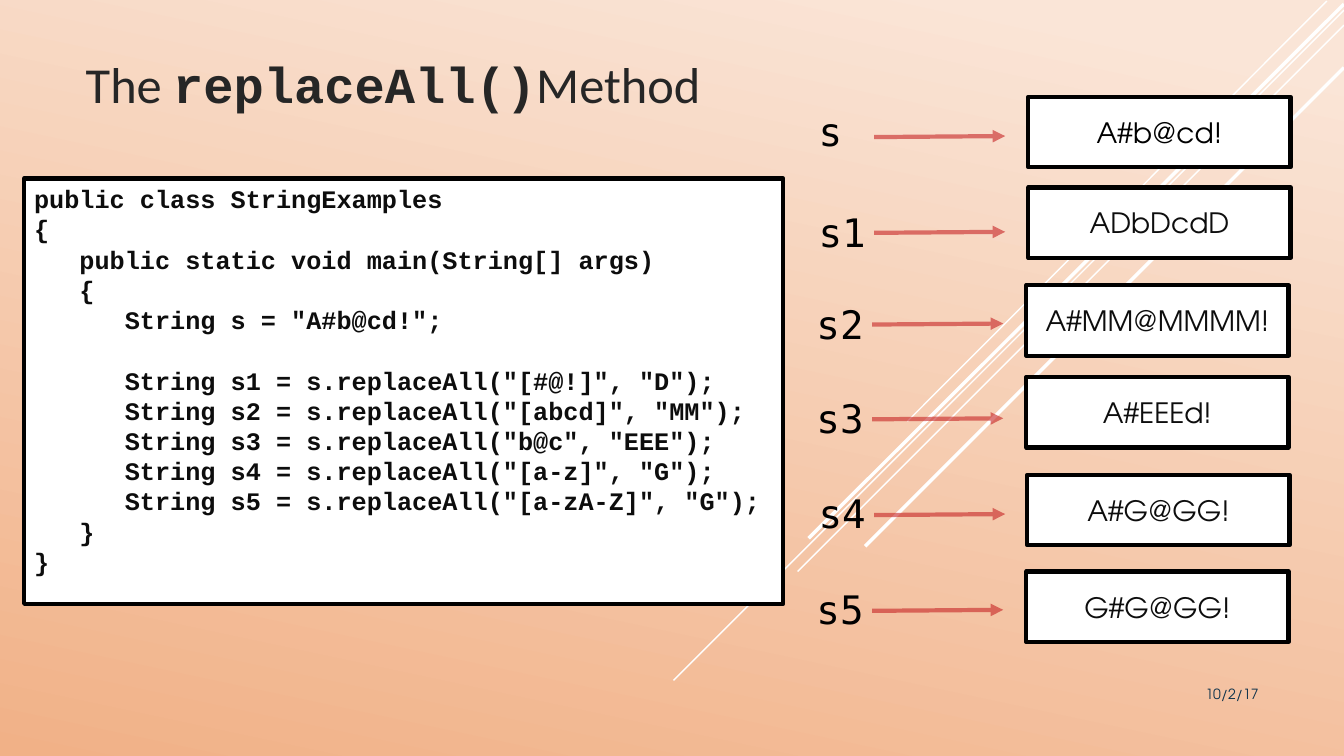
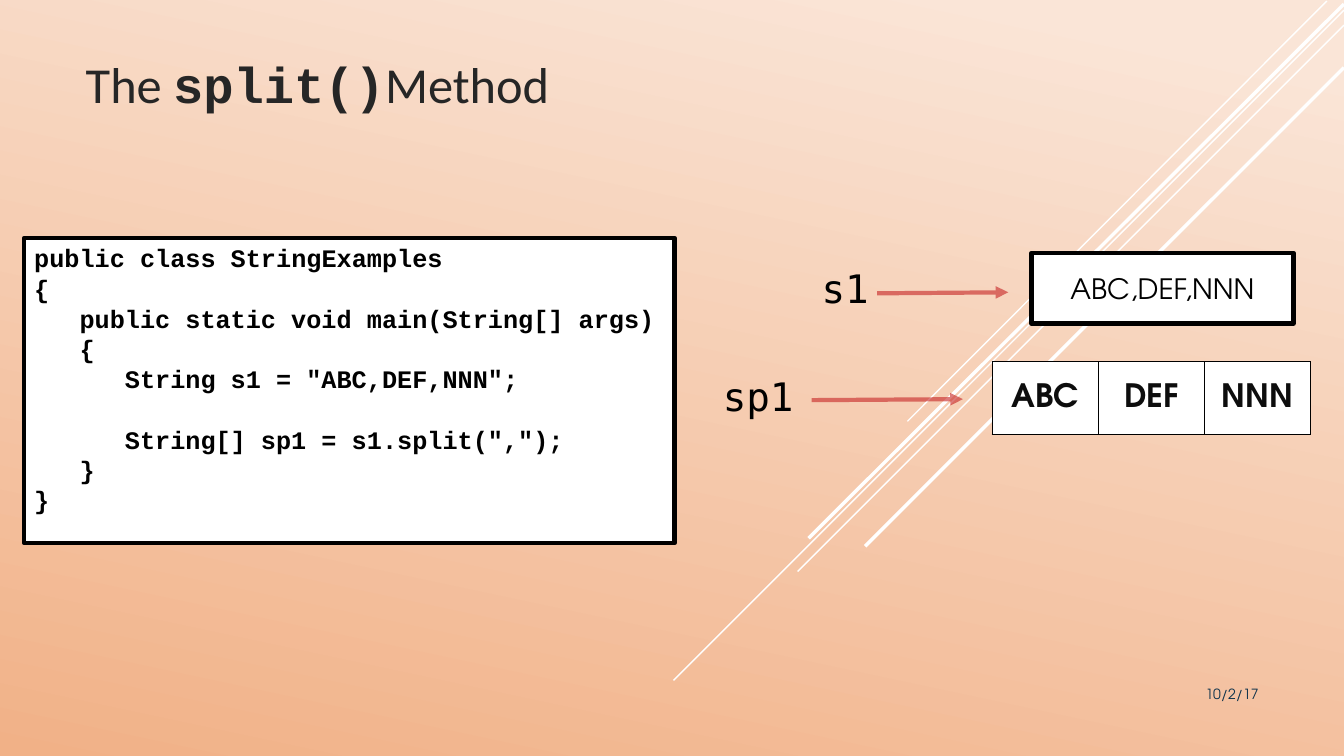
"""Build two slides that explain string methods with code and result boxes."""
import dataclasses
import typing

import lxml.etree
import pptx
import pptx.dml.color
import pptx.enum.shapes
import pptx.enum.text
import pptx.oxml.ns
import pptx.presentation
import pptx.shapes.autoshape
import pptx.shapes.connector
import pptx.slide
import pptx.table
import pptx.text.text
import pptx.util

Inches = pptx.util.Inches
Pt = pptx.util.Pt
qn = pptx.oxml.ns.qn
RGB = pptx.dml.color.RGBColor.from_string
ALIGN = pptx.enum.text.PP_ALIGN
ANCHOR = pptx.enum.text.MSO_ANCHOR
Style = dict[str, typing.Any]


@dataclasses.dataclass(frozen=True)
class Theme:
    black: str = "000000"
    ink: str = "0D0D0D"
    title_ink: str = "262626"
    date_ink: str = "0A304A"
    white: str = "FFFFFF"
    arrow: str = "C62324"
    background: tuple[tuple[float, str], ...] = ((0.07, "FAE5D7"), (1.0, "F1B187"))
    background_angle: int = 258
    title: Style = dataclasses.field(
        default_factory=lambda: {"name": "Calibri", "size": Pt(36), "bold": False})
    title_code: Style = dataclasses.field(
        default_factory=lambda: {"name": "Courier New", "size": Pt(36), "bold": True})
    code: Style = dataclasses.field(
        default_factory=lambda: {"name": "Courier New", "size": Pt(18), "bold": True})
    label: Style = dataclasses.field(
        default_factory=lambda: {"name": "DejaVu Sans Mono", "size": Pt(28)})
    value: Style = dataclasses.field(
        default_factory=lambda: {"name": "TeX Gyre Adventor", "size": Pt(20)})
    cell: Style = dataclasses.field(
        default_factory=lambda: {"name": "TeX Gyre Adventor", "size": Pt(23), "bold": True})
    date: Style = dataclasses.field(
        default_factory=lambda: {"name": "TeX Gyre Adventor", "size": Pt(10)})


THEME = Theme()


@dataclasses.dataclass(frozen=True)
class Line:
    start: tuple[float, float]
    end: tuple[float, float]
    width: float
    color: str


@dataclasses.dataclass(frozen=True)
class Variable:
    name: str
    label_left: float
    label_top: float
    arrow_top: float
    label_width: float = 0.8
    arrow_offset: float = 0.65
    arrow_length: float = 1.3


@dataclasses.dataclass(frozen=True)
class Value:
    text: str
    left: float
    top: float
    color: str = THEME.ink


@dataclasses.dataclass(frozen=True)
class CodeBox:
    text: str
    top: float
    width: float
    height: float
    color: str


STREAKS = [
    Line((13.16, 0.01), (9, 4.18), 1, THEME.white),
    Line((13.33, 0.1), (6.68, 6.75), 1, THEME.white),
    Line((13.33, 0.25), (7.91, 5.67), 1, THEME.white),
    Line((13.33, 0.04), (8.02, 5.34), 2.5, THEME.white),
    Line((13.33, 0.67), (8.58, 5.42), 2.5, THEME.white),
]

REPLACE_CODE = CodeBox('''public class StringExamples
{
   public static void main(String[] args)
   {
      String s = "A#b@cd!";

      String s1 = s.replaceAll("[#@!]", "D");
      String s2 = s.replaceAll("[abcd]", "MM");
      String s3 = s.replaceAll("b@c", "EEE");
      String s4 = s.replaceAll("[a-z]", "G");
      String s5 = s.replaceAll("[a-zA-Z]", "G");
   }
}''', 1.77, 7.53, 4.22, THEME.ink)

SPLIT_CODE = CodeBox('''public class StringExamples
{
   public static void main(String[] args)
   {
      String s1 = "ABC,DEF,NNN";

      String[] sp1 = s1.split(",");
   }
}''', 2.36, 6.45, 3.03, THEME.black)

REPLACE_ROWS = [
    (Variable("s", 8.02, 1.02, 1.36), Value("A#b@cd!", 10.2, 0.96, THEME.black)),
    (Variable("s1", 8.02, 2.02, 2.31), Value("ADbDcdD", 10.2, 1.86)),
    (Variable("s2", 8, 2.93, 3.22), Value("A#MM@MMMM!", 10.18, 2.83)),
    (Variable("s3", 8, 3.86, 4.16), Value("A#EEEd!", 10.18, 3.74)),
    (Variable("s4", 8.02, 4.81, 5.11), Value("A#G@GG!", 10.19, 4.71)),
    (Variable("s5", 8, 5.76, 6.06), Value("G#G@GG!", 10.18, 5.67)),
]
SPLIT_SOURCE = (Variable("s1", 8.05, 2.57, 2.91),
                Value("ABC,DEF,NNN", 10.23, 2.51, THEME.black))
SPLIT_RESULT = Variable("sp1", 7.07, 3.64, 3.97, 1.02, 0.98, 1.5)


def apply_format(target: typing.Any, values: Style) -> None:
    for name, value in values.items():
        setattr(target, name, value)


def add_run(paragraph: pptx.text.text._Paragraph, text: str, style: Style, color: str) -> None:
    run = paragraph.add_run()
    run.text = text
    apply_format(run.font, style)
    run.font.color.rgb = RGB(color)


def add_line(slide: pptx.slide.Slide, line: Line) -> pptx.shapes.connector.Connector:
    connector = slide.shapes.add_connector(
        pptx.enum.shapes.MSO_CONNECTOR.STRAIGHT,
        *(Inches(value) for value in (*line.start, *line.end)))
    connector.line.color.rgb = RGB(line.color)
    connector.line.width = Pt(line.width)
    lxml.etree.SubElement(connector.element.spPr, qn("a:effectLst"))
    return connector


def add_arrow(slide: pptx.slide.Slide, left: float, top: float, length: float) -> None:
    line = Line((left, top), (left + length, top - 0.01), 3, THEME.arrow)
    outline = add_line(slide, line).element.spPr.find(qn("a:ln"))
    color = next(outline.iter(qn("a:srgbClr")))
    lxml.etree.SubElement(color, qn("a:alpha")).set("val", "60000")
    lxml.etree.SubElement(outline, qn("a:tailEnd")).set("type", "triangle")


def add_text(slide: pptx.slide.Slide, text: str, box: tuple[float, float, float, float],
             style: Style, color: str, alignment: ALIGN = ALIGN.LEFT) -> None:
    shape = slide.shapes.add_textbox(*(Inches(value) for value in box))
    shape.text_frame.word_wrap = True
    paragraph = shape.text_frame.paragraphs[0]
    paragraph.alignment = alignment
    add_run(paragraph, text, style, color)


def add_box(slide: pptx.slide.Slide, left: float, top: float, width: float, height: float,
            anchor: ANCHOR) -> pptx.shapes.autoshape.Shape:
    shape = slide.shapes.add_shape(
        pptx.enum.shapes.MSO_SHAPE.RECTANGLE,
        *(Inches(value) for value in (left, top, width, height)))
    shape.shadow.inherit = False
    shape.fill.solid()
    shape.fill.fore_color.rgb = RGB(THEME.white)
    shape.line.color.rgb = RGB(THEME.black)
    shape.line.width = Pt(3)
    apply_format(shape.text_frame, {"word_wrap": True, "vertical_anchor": anchor})
    return shape


def add_value(slide: pptx.slide.Slide, value: Value) -> None:
    shape = add_box(slide, value.left, value.top, 2.6, 0.7, ANCHOR.MIDDLE)
    paragraph = shape.text_frame.paragraphs[0]
    paragraph.alignment = ALIGN.CENTER
    add_run(paragraph, value.text, THEME.value, value.color)


def add_variable(slide: pptx.slide.Slide, variable: Variable) -> None:
    add_text(slide, variable.name,
             (variable.label_left, variable.label_top, variable.label_width, 0.57),
             THEME.label, THEME.black)
    add_arrow(slide, variable.label_left + variable.arrow_offset, variable.arrow_top,
              variable.arrow_length)


def add_code(slide: pptx.slide.Slide, code: CodeBox) -> None:
    frame = add_box(slide, 0.24, code.top, code.width, code.height, ANCHOR.TOP).text_frame
    line_height = Pt(21.6)
    character_width = 0.15
    paragraph = frame.paragraphs[0]
    gap = Pt(0)
    for number, line in enumerate(code.text.splitlines()):
        text = line.lstrip()
        if not text:
            gap = line_height
            continue
        if number:
            paragraph = frame.add_paragraph()
        apply_format(paragraph, {"alignment": ALIGN.LEFT, "line_spacing": line_height,
                                 "space_before": gap})
        indent = Inches((len(line) - len(text)) * character_width)
        paragraph._p.get_or_add_pPr().set("marL", str(indent))
        add_run(paragraph, text, THEME.code, code.color)
        gap = Pt(0)


def add_border(cell: pptx.table._Cell) -> None:
    properties = cell._tc.get_or_add_tcPr()
    for position, side in enumerate(("lnL", "lnR", "lnT", "lnB")):
        border = lxml.etree.Element(qn(f"a:{side}"), w=str(Pt(1)))
        fill = lxml.etree.SubElement(border, qn("a:solidFill"))
        lxml.etree.SubElement(fill, qn("a:srgbClr")).set("val", THEME.black)
        properties.insert(position, border)


def add_array(slide: pptx.slide.Slide, items: list[str]) -> None:
    table = slide.shapes.add_table(
        1, len(items), Inches(9.84), Inches(3.59), Inches(3.16), Inches(0.72)).table
    for cell, text in zip(table.rows[0].cells, items):
        cell.fill.solid()
        cell.fill.fore_color.rgb = RGB(THEME.white)
        apply_format(cell, {"vertical_anchor": ANCHOR.MIDDLE,
                            "margin_left": Inches(0.08), "margin_right": Inches(0.08),
                            "margin_top": Inches(0.04), "margin_bottom": Inches(0.04)})
        paragraph = cell.text_frame.paragraphs[0]
        paragraph.alignment = ALIGN.CENTER
        add_run(paragraph, text, THEME.cell, THEME.ink)
        add_border(cell)


def add_slide(presentation: pptx.presentation.Presentation, method: str,
              code: CodeBox) -> pptx.slide.Slide:
    slide = presentation.slides.add_slide(presentation.slide_layouts.get_by_name("Title Only"))
    title = slide.shapes.title
    apply_format(title, {"left": Inches(0.75), "top": Inches(0.15),
                         "width": Inches(10.8), "height": Inches(1.03)})
    apply_format(title.text_frame, {"vertical_anchor": ANCHOR.BOTTOM, "word_wrap": True,
                                    "auto_size": pptx.enum.text.MSO_AUTO_SIZE.NONE})
    paragraph = title.text_frame.paragraphs[0]
    paragraph.alignment = ALIGN.LEFT
    for text, style in (("The ", THEME.title), (method, THEME.title_code),
                        ("Method", THEME.title)):
        add_run(paragraph, text, style, THEME.title_ink)
    add_code(slide, code)
    add_text(slide, "10/2/17", (10.83, 6.75, 1.75, 0.4), THEME.date, THEME.date_ink,
             ALIGN.RIGHT)
    return slide


def style_master(presentation: pptx.presentation.Presentation, slide: pptx.slide.Slide) -> None:
    master = presentation.slide_master
    fill = master.background.fill
    fill.gradient()
    fill.gradient_angle = THEME.background_angle
    for stop, (position, color) in zip(fill.gradient_stops, THEME.background):
        stop.position = position
        stop.color.rgb = RGB(color)
    for streak in STREAKS:
        master.element.cSld.spTree.append(add_line(slide, streak).element)


def main() -> None:
    presentation = pptx.Presentation()
    apply_format(presentation, {"slide_width": Inches(13.33), "slide_height": Inches(7.5)})

    replace_slide = add_slide(presentation, "replaceAll()", REPLACE_CODE)
    style_master(presentation, replace_slide)
    split_slide = add_slide(presentation, "split()", SPLIT_CODE)
    for slide, rows in ((replace_slide, REPLACE_ROWS), (split_slide, [SPLIT_SOURCE])):
        for variable, value in rows:
            add_value(slide, value)
            add_variable(slide, variable)
    add_array(split_slide, ["ABC", "DEF", "NNN"])
    add_variable(split_slide, SPLIT_RESULT)
    presentation.save("out.pptx")


if __name__ == "__main__":
    main()
